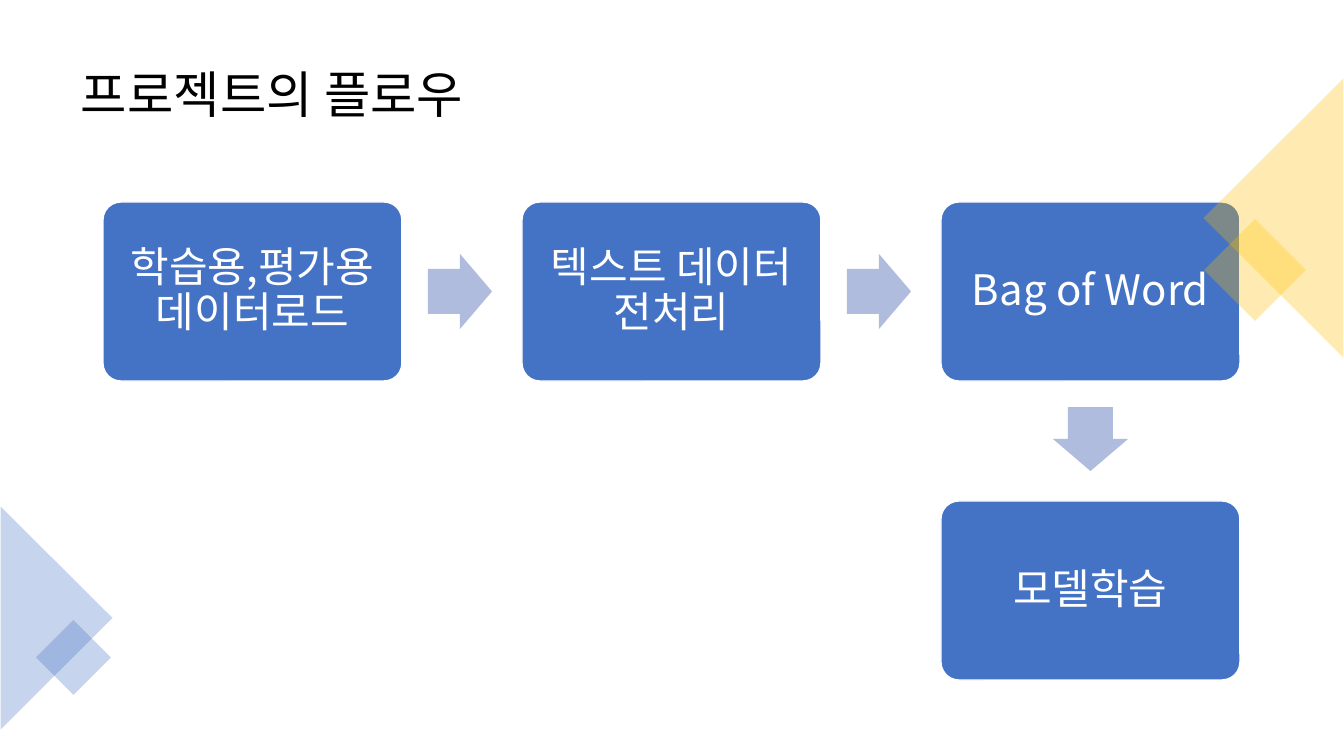
from lxml import etree
from pptx import Presentation
from pptx.dml.color import RGBColor
from pptx.enum.shapes import MSO_SHAPE
from pptx.enum.text import MSO_ANCHOR, PP_ALIGN
from pptx.oxml.ns import qn
from pptx.util import Pt

PX = 914400 / 100.8
FONT = "Noto Sans CJK KR"
BLACK = RGBColor(0x00, 0x00, 0x00)
WHITE = RGBColor(0xFF, 0xFF, 0xFF)
BLUE = RGBColor(0x44, 0x72, 0xC4)
PALE_BLUE = RGBColor(0xB0, 0xBC, 0xDE)
GOLD = RGBColor(0xFF, 0xC0, 0x00)

ROUNDED = MSO_SHAPE.ROUNDED_RECTANGLE
ARROW = MSO_SHAPE.RIGHT_ARROW
SQUARE = MSO_SHAPE.RECTANGLE
TRIANGLE = MSO_SHAPE.ISOSCELES_TRIANGLE
MIDDLE = MSO_ANCHOR.MIDDLE
LEFT = PP_ALIGN.LEFT
CENTER = PP_ALIGN.CENTER

GRID_LEFT, GRID_TOP = 103, 202
COLUMN_PITCH, ROW_PITCH = 419, 299
STEP_W, STEP_H = 299, 179
ARROW_W, ARROW_H = 64, 75
ARROW_GAP = 58

STEPS = [
    ("학습용,평가용 데이터로드", 0, 0),
    ("텍스트 데이터 전처리", 1, 0),
    ("Bag of Word", 2, 0),
    ("모델학습", 2, 1),
]

DECORATIONS = [
    (SQUARE, (1219, 234, 72, 72), 45, GOLD),
    (TRIANGLE, (1134, 148, 279, 140), 270, GOLD),
    (TRIANGLE, (-55, 562, 223, 112), 90, BLUE),
    (SQUARE, (47, 631, 53, 53), 45, BLUE),
]


def emu(*pixels):
    return [round(p * PX) for p in pixels]


def write_text(frame, text, size, color, align, inset_x, inset_y):
    margin_x, margin_y = emu(inset_x, inset_y)
    layout = {
        "word_wrap": True,
        "vertical_anchor": MIDDLE,
        "margin_left": margin_x,
        "margin_right": margin_x,
        "margin_top": margin_y,
        "margin_bottom": margin_y,
    }
    for name, value in layout.items():
        setattr(frame, name, value)
    paragraph = frame.paragraphs[0]
    paragraph.alignment = align
    paragraph.line_spacing = 0.9
    run = paragraph.add_run()
    run.text = text
    for name, value in {"size": Pt(size), "name": FONT}.items():
        setattr(run.font, name, value)
    run.font.color.rgb = color
    east_asian = etree.SubElement(run.font._element, qn("a:ea"))
    east_asian.set("typeface", FONT)


def add_figure(slide, preset, box, color, rotation=0, adjustments=()):
    figure = slide.shapes.add_shape(preset, *emu(*box))
    figure.shadow.inherit = False
    figure.rotation = rotation
    figure.fill.solid()
    figure.fill.fore_color.rgb = color
    figure.line.fill.background()
    for index, value in enumerate(adjustments):
        figure.adjustments[index] = value
    return figure


def add_title(slide, text):
    title = slide.shapes.add_textbox(*emu(71, 35, 1202, 125))
    write_text(title.text_frame, text, 36, BLACK, LEFT, 10, 5)


def add_step(slide, text, left, top):
    step = add_figure(slide, ROUNDED, (left, top, STEP_W, STEP_H), BLUE, 0, (0.1,))
    step.line.color.rgb = WHITE
    step.line.width = Pt(1)
    write_text(step.text_frame, text, 30, WHITE, CENTER, 12, 12)


def add_arrow(slide, center_x, center_y, rotation):
    box = (center_x - ARROW_W / 2, center_y - ARROW_H / 2, ARROW_W, ARROW_H)
    add_figure(slide, ARROW, box, PALE_BLUE, rotation, (0.6, 0.5))


def add_flow(slide):
    previous_row = 0
    for order, (text, column, row) in enumerate(STEPS):
        left = GRID_LEFT + column * COLUMN_PITCH
        top = GRID_TOP + row * ROW_PITCH
        if row > previous_row:
            add_arrow(slide, left + STEP_W / 2, top - ARROW_GAP - 4, 90)
        elif order:
            add_arrow(slide, left - ARROW_GAP - 4, top + STEP_H / 2, 0)
        add_step(slide, text, left, top)
        previous_row = row


def add_decoration(slide, preset, box, rotation, color):
    decoration = add_figure(slide, preset, box, color, rotation)
    fill_color = decoration._element.spPr.find(qn("a:solidFill"))[0]
    etree.SubElement(fill_color, qn("a:alpha")).set("val", "30000")


def main():
    deck = Presentation()
    deck.slide_width, deck.slide_height = emu(1344, 756)
    slide = deck.slides.add_slide(deck.slide_layouts[6])
    add_title(slide, "프로젝트의 플로우")
    add_flow(slide)
    for decoration in DECORATIONS:
        add_decoration(slide, *decoration)
    deck.save("out.pptx")


main()
